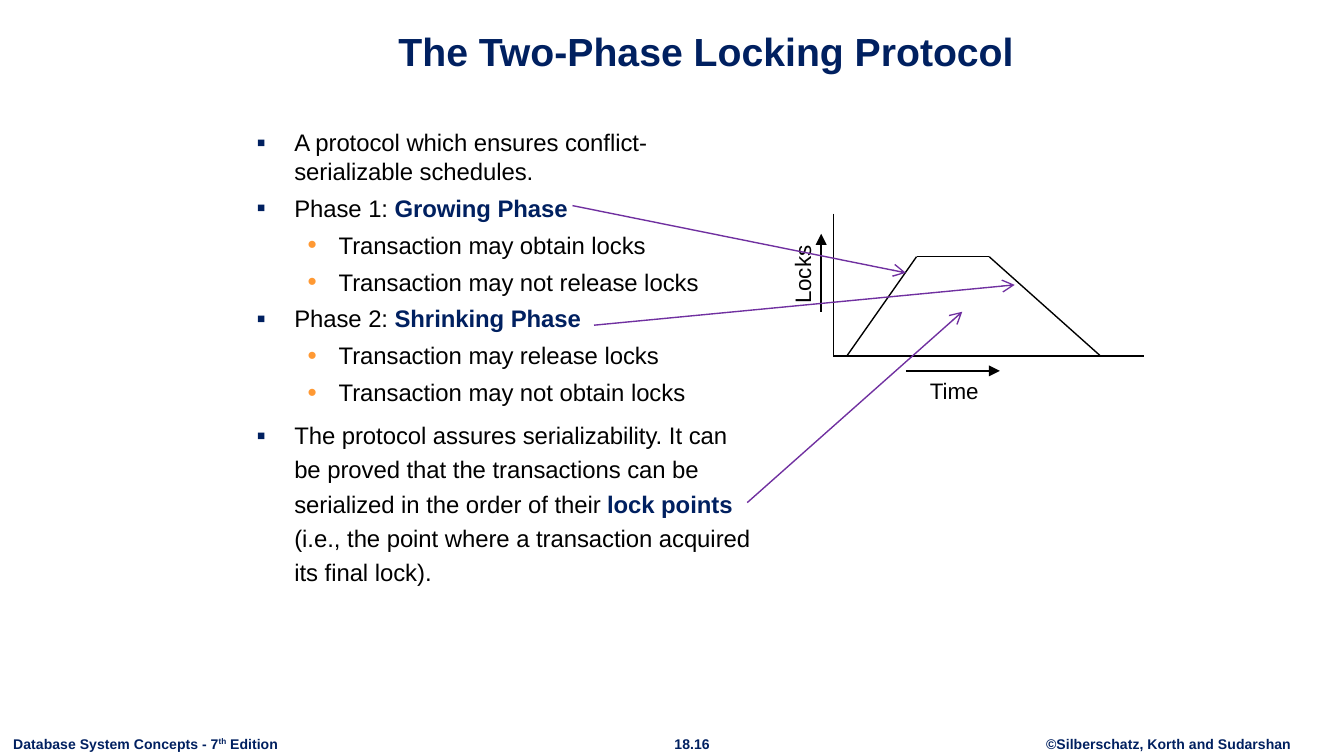
from lxml import etree
from pptx import Presentation
from pptx.dml.color import RGBColor
from pptx.enum.shapes import MSO_CONNECTOR
from pptx.enum.text import MSO_ANCHOR, MSO_AUTO_SIZE, PP_ALIGN
from pptx.oxml.ns import qn
from pptx.util import Inches, Pt

LEFT, CENTER = PP_ALIGN.LEFT, PP_ALIGN.CENTER
TOP, BOTTOM = MSO_ANCHOR.TOP, MSO_ANCHOR.BOTTOM
NO_FIT = MSO_AUTO_SIZE.NONE
STRAIGHT = MSO_CONNECTOR.STRAIGHT

COLORS = {"navy": "002060", "black": "000000", "orange": "FF9933", "purple": "7030A0"}
BULLETS = [
    {"char": "▪", "color": "navy", "left": 0.28, "hang": 0.28},
    {"char": "•", "color": "orange", "left": 0.61, "hang": 0.23},
]
POINTS = [
    (0, 1, [("A protocol which ensures conflict-serializable schedules.", False)]),
    (0, 1, [("Phase 1: ", False), ("Growing Phase", True)]),
    (1, 1, [("Transaction may obtain locks", False)]),
    (1, 1, [("Transaction may not release locks", False)]),
    (0, 1, [("Phase 2: ", False), ("Shrinking Phase", True)]),
    (1, 1, [("Transaction may release locks", False)]),
    (1, 1, [("Transaction may not obtain locks", False)]),
    (0, 1.2, [
        ("The protocol assures serializability. It can be proved that the "
         "transactions can be serialized in the order of their ", False),
        ("lock points ", True),
        ("(i.e., the point where a transaction acquired its final lock).", False),
    ]),
]


def rgb(name):
    return RGBColor.from_string(COLORS[name])


def add_run(p, text, size, color="black", bold=False):
    r = p.add_run()
    r.text = text
    for name, value in {"name": "Arial", "size": Pt(size), "bold": bold}.items():
        setattr(r.font, name, value)
    r.font.color.rgb = rgb(color)
    return r


def place(sp, box):
    for name, value in zip(("left", "top", "width", "height"), box):
        setattr(sp, name, Inches(value))


def format_frame(tf, wrap=True, anchor=TOP):
    values = {"word_wrap": wrap, "auto_size": NO_FIT, "vertical_anchor": anchor}
    for name, value in values.items():
        setattr(tf, name, value)


def add_label(s, box, text, size, color="black", bold=False, align=LEFT, wrap=True):
    sp = s.shapes.add_textbox(*map(Inches, box))
    format_frame(sp.text_frame, wrap)
    p = sp.text_frame.paragraphs[0]
    p.alignment = align
    add_run(p, text, size, color, bold)
    return sp


def add_line(s, start, end, color="black", head=None):
    line = s.shapes.add_connector(STRAIGHT, *map(Inches, (*start, *end)))
    line.line.color.rgb = rgb(color)
    line.line.width = Pt(0.75)
    if head:
        ln = line.line._get_or_add_ln()
        etree.SubElement(ln, qn("a:tailEnd"), type=head, w="med", len="med")
    etree.SubElement(line._element.spPr, qn("a:effectLst"))


def add_bullet(p, char, color, left, hang):
    pPr = p._p.get_or_add_pPr()
    pPr.set("marL", str(Inches(left)))
    pPr.set("indent", str(-Inches(hang)))
    clr = etree.SubElement(pPr, qn("a:buClr"))
    etree.SubElement(clr, qn("a:srgbClr"), val=COLORS[color])
    etree.SubElement(pPr, qn("a:buSzPct"), val="110000")
    etree.SubElement(pPr, qn("a:buFont"), typeface="Arial")
    etree.SubElement(pPr, qn("a:buChar"), char=char)


def fill_title(s, box):
    sp = s.shapes.title
    place(sp, box)
    format_frame(sp.text_frame, anchor=BOTTOM)
    p = sp.text_frame.paragraphs[0]
    p.alignment = CENTER
    add_run(p, "The Two-Phase Locking Protocol", 21, "navy", True)


def fill_body(s, box):
    sp = s.placeholders[1]
    place(sp, box)
    tf = sp.text_frame
    format_frame(tf)
    for i, (level, spacing, runs) in enumerate(POINTS):
        p = tf.add_paragraph() if i else tf.paragraphs[0]
        p.level = level
        p.line_spacing = spacing
        p.space_before = Pt(4.5 if i else 0)
        add_bullet(p, **BULLETS[level])
        for text, key in runs:
            add_run(p, text, 12.75, "navy" if key else "black", key)


def add_lock_graph(s, box):
    x, y, w, h = box
    origin = (x, y + h)
    add_line(s, (x, y), origin)
    add_line(s, origin, (x + w, y + h))
    curve = [(x + dx, y + dy) for dx, dy in ((0.1, h), (0.62, 0.32), (1.16, 0.32), (1.99, h))]
    for start, end in zip(curve, curve[1:]):
        add_line(s, start, end)
    add_label(s, (x + 0.62, y + h + 0.11, 0.66, 0.3), "Time", 12)
    add_label(s, (x - 0.56, y + 0.29, 0.66, 0.3), "Locks", 12).rotation = 270
    add_line(s, (x + 0.54, y + h + 0.11), (x + 1.24, y + h + 0.11), head="triangle")
    add_line(s, (x - 0.09, y + 0.73), (x - 0.09, y + 0.15), head="triangle")


def add_callouts(s, box):
    x, y = box[:2]
    for start, dx, dy in (
        ((4.26, 1.53), 0.54, 0.44),
        ((4.42, 2.42), 1.35, 0.53),
        ((5.56, 3.74), 0.96, 0.73),
    ):
        add_line(s, start, (x + dx, y + dy), "purple", "arrow")


def add_footer(s, box):
    x, y, w, h = box
    style = {"size": 7.5, "color": "navy", "bold": True, "wrap": False}
    edition = add_label(s, (x, y, 2.18, h), "Database System Concepts - 7", **style)
    p = edition.text_frame.paragraphs[0]
    add_run(p, "th", 7.5, "navy", True).font._element.set("baseline", "30000")
    add_run(p, " Edition", 7.5, "navy", True)
    add_label(s, (x + 4.91, y, 0.48, h), "18.16", align=CENTER, **style)
    add_label(s, (x + w - 2.03, y, 2.03, h), "©Silberschatz, Korth and Sudarshan",
              align=CENTER, **style)


def main():
    prs = Presentation()
    prs.slide_width = Inches(10)
    prs.slide_height = prs.slide_width * 9 // 16
    s = prs.slides.add_slide(prs.slide_layouts[1])
    graph = (6.2, 1.59, 2.31, 1.06)
    add_footer(s, (0, 5.42, 9.71, 0.23))
    fill_title(s, (0.84, 0.1, 8.83, 0.5))
    fill_body(s, (1.81, 0.9, 3.93, 4.4))
    add_lock_graph(s, graph)
    add_callouts(s, graph)
    prs.save("out.pptx")


if __name__ == "__main__":
    main()
